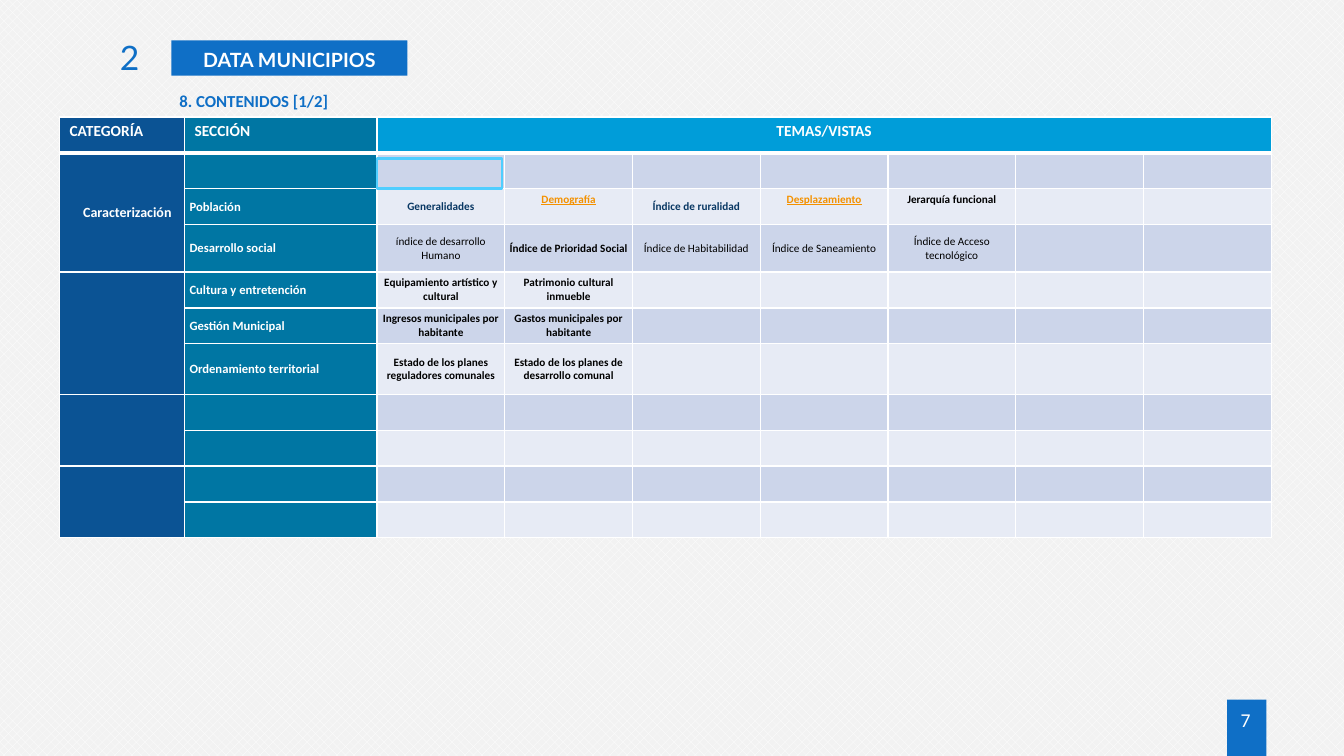
from dataclasses import dataclass

from lxml import etree
from pptx import Presentation
from pptx import util as u
from pptx.dml.color import RGBColor
from pptx.enum import dml, shapes, text
from pptx.oxml import ns


@dataclass(frozen=True)
class Theme:
    blue: str = "0F6FC6"
    navy: str = "0B5394"
    teal: str = "0076A3"
    sky: str = "009DD9"
    cyan: str = "4FCEFF"
    band_dark: str = "CCD5EA"
    band_light: str = "E7EBF5"
    white: str = "FFFFFF"
    grey: str = "F2F2F2"
    black: str = "000000"
    ink: str = "083763"
    orange: str = "F49100"
    heading_font: str = "Lato"
    body_font: str = "Calibri"
    number: int = 24
    title: int = 14
    subtitle: int = 12
    header: int = 11
    category: int = 10
    section: int = 9
    topic: int = 8


T = Theme()
LEFT, CENTER, RIGHT = text.PP_ALIGN.LEFT, text.PP_ALIGN.CENTER, text.PP_ALIGN.RIGHT
MIDDLE = text.MSO_ANCHOR.MIDDLE

HEADERS = [("CATEGORÍA", LEFT), ("SECCIÓN", LEFT), ("TEMAS/VISTAS", CENTER)]
CATEGORIES = [("Caracterización", 3), ("", 3), ("", 2), ("", 2)]
SECTIONS = [
    ("", []),
    ("Población", ["Generalidades", "Demografía", "Índice de ruralidad", "Desplazamiento",
                   "Jerarquía funcional"]),
    ("Desarrollo social", ["índice de desarrollo Humano", "Índice de Prioridad Social",
                           "Índice de Habitabilidad", "Índice de Saneamiento",
                           "Índice de Acceso tecnológico"]),
    ("Cultura y entretención", ["Equipamiento artístico y cultural", "Patrimonio cultural inmueble"]),
    ("Gestión Municipal", ["Ingresos municipales por habitante", "Gastos municipales por habitante"]),
    ("Ordenamiento territorial", ["Estado de los planes reguladores comunales",
                                  "Estado de los planes de desarrollo comunal"]),
    ("", []), ("", []), ("", []), ("", []),
]
LINKS = {"Demografía", "Desplazamiento"}
INK_TOPICS = {"Generalidades", "Índice de ruralidad"}
RAISED = LINKS | {"Jerarquía funcional"}
PLAIN = {"índice de desarrollo Humano", "Índice de Habitabilidad", "Índice de Saneamiento",
         "Índice de Acceso tecnológico"}
TOPIC_COLS = 7
TALL_ROWS = {3: 0.47, 6: 0.5}


def rgb(value):
    return RGBColor.from_string(value)


def inches(box):
    return [u.Inches(v) for v in box]


def paint(sp, color):
    sp.fill.solid()
    sp.fill.fore_color.rgb = rgb(color)


def write(tf, words, size, color, bold=False, align=LEFT, font=T.body_font, underline=False):
    tf.text = words
    p = tf.paragraphs[0]
    p.alignment = align
    for r in p.runs:
        f = r.font
        f.size, f.name, f.bold, f.underline = u.Pt(size), font, bold, underline
        f.color.rgb = rgb(color)
    return p


def add_rect(s, box):
    sp = s.shapes.add_shape(shapes.MSO_SHAPE.RECTANGLE, *inches(box))
    sp.shadow.inherit = False
    return sp


def add_text(s, box, words, size, color, **style):
    tf = s.shapes.add_textbox(*inches(box)).text_frame
    tf.word_wrap = True
    write(tf, words, size, color, **style)
    return tf


def add_heading(s, box):
    x, y, w, h = box
    title = s.shapes.title
    title.left, title.top, title.width, title.height = inches(box)
    paint(title, T.blue)
    tf = title.text_frame
    tf.auto_size = text.MSO_AUTO_SIZE.NONE
    tf.vertical_anchor = text.MSO_ANCHOR.TOP
    p = write(tf, "DATA MUNICIPIOS", T.title, T.white, True, CENTER, T.heading_font)
    p.line_spacing = 1.1
    add_text(s, (x - 1.11, y - 0.08, 0.89, 0.5), "2", T.number, T.blue,
             align=RIGHT, font=T.heading_font)
    add_text(s, (x - 0.02, y + 0.45, 4.96, 0.3), "8. CONTENIDOS [1/2]", T.subtitle, T.blue, bold=True)


def add_page_number(s, box):
    x, y, w, h = box
    sp = add_rect(s, box)
    paint(sp, T.blue)
    sp.line.fill.background()
    tf = add_text(s, (x - 0.12, y + 0.06, 0.61, 0.33), "7", T.title, T.white, align=CENTER)
    set_margins(tf, 0.05, 0.02)


def set_margins(target, side, end):
    target.margin_left = target.margin_right = u.Inches(side)
    target.margin_top = target.margin_bottom = u.Inches(end)


def style_cell(cell, fill, bottom):
    set_margins(cell, 0, 0)
    paint(cell, fill)
    tcPr = cell._tc.get_or_add_tcPr()
    for i, (side, width) in enumerate((("L", 1), ("R", 1), ("T", 1), ("B", bottom))):
        ln = etree.Element(ns.qn("a:ln" + side), w=str(u.Pt(width)))
        solid = etree.SubElement(ln, ns.qn("a:solidFill"))
        etree.SubElement(solid, ns.qn("a:srgbClr"), val=T.white)
        tcPr.insert(i, ln)


def fill_topic(cell, topic):
    cell.vertical_anchor = MIDDLE
    if topic in RAISED:
        cell.margin_bottom = u.Inches(0.14)
    color = T.orange if topic in LINKS else T.ink if topic in INK_TOPICS else T.black
    write(cell.text_frame, topic, T.topic, color, topic not in PLAIN, CENTER, underline=topic in LINKS)


def add_contents_table(s, box):
    x, y, w, h = box
    n_rows, n_cols = len(SECTIONS) + 1, TOPIC_COLS + 2
    tbl = s.shapes.add_table(n_rows, n_cols, *inches(box)).table
    tbl.first_row = tbl.horz_banding = False
    fixed = [1.24, 1.91]
    topic_w = (w - sum(fixed)) / TOPIC_COLS
    for col, width in zip(tbl.columns, fixed + [topic_w] * TOPIC_COLS):
        col.width = u.Inches(width)
    row_h = (h - sum(TALL_ROWS.values())) / (n_rows - len(TALL_ROWS))
    for i, row in enumerate(tbl.rows):
        row.height = u.Inches(TALL_ROWS.get(i, row_h))
        band = T.sky if i == 0 else T.band_dark if i % 2 else T.band_light
        for cell, fill in zip(row.cells, [T.navy, T.teal] + [band] * TOPIC_COLS):
            style_cell(cell, fill, 1 if i else 3)

    tbl.cell(0, 2).merge(tbl.cell(0, n_cols - 1))
    for j, (words, align) in enumerate(HEADERS):
        set_margins(tbl.cell(0, j), 0.1, 0.05)
        write(tbl.cell(0, j).text_frame, words, T.header, T.white, True, align)

    first = 1
    for words, span in CATEGORIES:
        cell = tbl.cell(first, 0)
        cell.merge(tbl.cell(first + span - 1, 0))
        cell.vertical_anchor = MIDDLE
        cell.margin_right = u.Inches(0.13)
        write(cell.text_frame, words, T.category, T.white, True, RIGHT)
        first += span

    for i, (section, topics) in enumerate(SECTIONS, 1):
        if section:
            cell = tbl.cell(i, 1)
            set_margins(cell, 0.05, 0.05)
            cell.vertical_anchor = MIDDLE
            write(cell.text_frame, section, T.section, T.white, True)
        for j, topic in enumerate(topics, 2):
            fill_topic(tbl.cell(i, j), topic)

    marker = add_rect(s, (x + sum(fixed), y + 0.41, 1.24, 0.3))
    marker.fill.background()
    marker.line.color.rgb = rgb(T.cyan)
    marker.line.width = u.Pt(2)


def main():
    prs = Presentation()
    prs.slide_width, prs.slide_height = inches((13.33, 7.5))
    s = prs.slides.add_slide(prs.slide_layouts[5])
    bg = s.background.fill
    bg.patterned()
    bg.pattern = dml.MSO_PATTERN.from_xml("pct40")
    bg.fore_color.rgb, bg.back_color.rgb = rgb(T.white), rgb(T.grey)
    add_page_number(s, (12.17, 6.94, 0.39, 0.56))
    add_heading(s, (1.7, 0.4, 2.34, 0.35))
    add_contents_table(s, (0.59, 1.16, 12.02, 4.18))
    prs.save("out.pptx")


if __name__ == "__main__":
    main()
